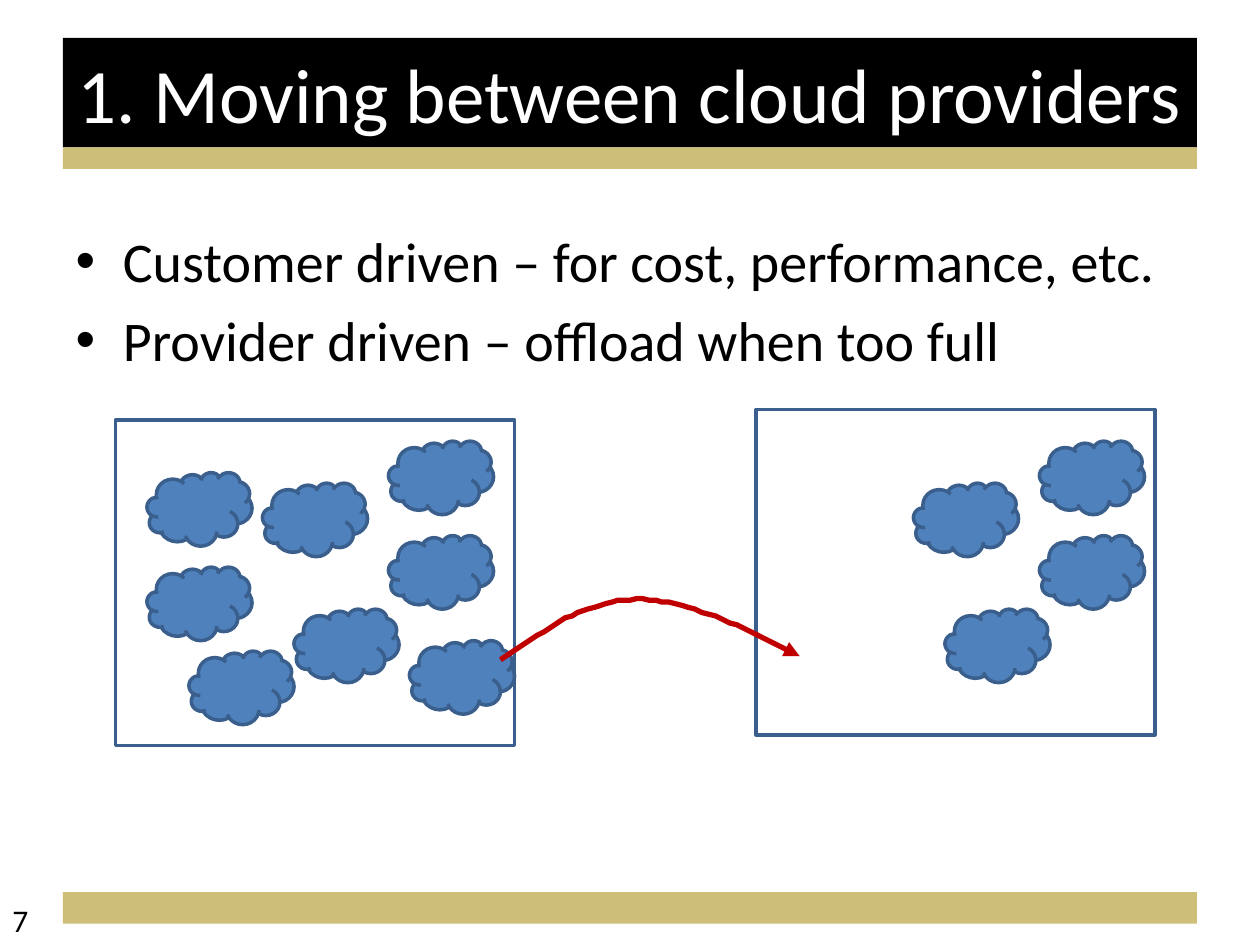
import pptx
import pptx.util
import pptx.dml.color
import pptx.enum.shapes
import pptx.enum.text
import pptx.oxml
import pptx.oxml.ns

Pt = pptx.util.Pt
SHAPES = pptx.enum.shapes.MSO_SHAPE
ANCHORS = pptx.enum.text.MSO_ANCHOR
ALIGN = pptx.enum.text.PP_ALIGN

TITLE = "1. Moving between cloud providers"
POINTS = [
    "Customer driven – for cost, performance, etc.",
    "Provider driven – offload when too full",
]
PAGE_NUMBER = "7"
COLORS = {
    "gold": "CDBF78", "black": "000000", "white": "FFFFFF",
    "cloud": "4F81BD", "outline": "3A5F8C", "arrow": "C00000",
}
BANDS = [(509.76, 18, "gold"), (21.6, 62.64, "black"), (84.24, 12.24, "gold")]
PROVIDERS = [(66, 240), (432, 234)]
PROVIDER_SIZE = (228, 186)
CLOUD_SIZE = (60, 42)
SHARED_CLOUDS = [(150, 276), (168, 348), (222, 252), (222, 306)]
FIRST_ONLY_CLOUDS = [(84, 270), (84, 324), (234, 366), (108, 372)]
SECOND_OFFSET = 372
MOVE_CURVES = [
    [(285.84, 377.28), (310.32, 360), (335.52, 342.72), (363.6, 342.4)],
    [(363.6, 342.4), (392.4, 342), (424.8, 358.56), (456.8, 375.1)],
]
CURVE_STEPS = 24


def rgb(name):
    return pptx.dml.color.RGBColor.from_string(COLORS[name])


def add_block(page, kind, left, top, size, fill, outline=None):
    block = page.shapes.add_shape(kind, Pt(left), Pt(top), Pt(size[0]), Pt(size[1]))
    block.shadow.inherit = False
    block.fill.solid()
    block.fill.fore_color.rgb = rgb(fill)
    if outline:
        block.line.color.rgb = rgb(outline)
        block.line.width = Pt(2)
    else:
        block.line.fill.background()


def write_text(box, lines, size, color, align, anchor):
    frame = box.text_frame
    frame.text = "\n".join(lines)
    frame.word_wrap = True
    frame.auto_size = pptx.enum.text.MSO_AUTO_SIZE.NONE
    frame.vertical_anchor = anchor
    for index, para in enumerate(frame.paragraphs):
        para.alignment = align
        para.space_before = Pt(size * 0.2 if index else 0)
        for span in para.runs:
            span.font.name = "Calibri"
            span.font.size = Pt(size)
            span.font.color.rgb = rgb(color)


def place(box, left, top, width, height):
    box.left, box.top, box.width, box.height = map(Pt, (left, top, width, height))


def curve_point(curve, t):
    weights = ((1 - t) ** 3, 3 * t * (1 - t) ** 2, 3 * t * t * (1 - t), t ** 3)
    return tuple(sum(w * point[axis] for w, point in zip(weights, curve)) for axis in (0, 1))


def add_move_arrow(page):
    points = [curve_point(curve, step / CURVE_STEPS)
              for curve in MOVE_CURVES for step in range(1, CURVE_STEPS + 1)]
    start = MOVE_CURVES[0][0]
    builder = page.shapes.build_freeform(start[0], start[1], scale=float(Pt(1)))
    builder.add_line_segments(points, close=False)
    arrow = builder.convert_to_shape()
    arrow.shadow.inherit = False
    arrow.fill.background()
    arrow.line.color.rgb = rgb("arrow")
    arrow.line.width = Pt(3)
    head = pptx.oxml.parse_xml(
        f'<a:tailEnd {pptx.oxml.ns.nsdecls("a")} type="triangle"/>')
    arrow.line._get_or_add_ln().append(head)


def main():
    deck = pptx.Presentation()
    deck.slide_width, deck.slide_height = Pt(720), Pt(540)
    page = deck.slides.add_slide(deck.slide_layouts[1])
    title, body = page.shapes.title, page.placeholders[1]

    for top, height, color in BANDS:
        add_block(page, SHAPES.RECTANGLE, 36, top, (648, height), color)

    place(body, 36, 126, 648, 356.4)
    write_text(body, POINTS, 32, "black", ALIGN.LEFT, ANCHORS.TOP)
    place(title, 36, 21.6, 648, 62.64)
    write_text(title, [TITLE], 44, "white", ALIGN.CENTER, ANCHORS.MIDDLE)
    for box in (body, title):
        page.shapes._spTree.append(box._element)

    for left, top in PROVIDERS:
        add_block(page, SHAPES.RECTANGLE, left, top, PROVIDER_SIZE, "white", "outline")
    second_clouds = [(left + SECOND_OFFSET, top) for left, top in SHARED_CLOUDS]
    for left, top in SHARED_CLOUDS + FIRST_ONLY_CLOUDS + second_clouds:
        add_block(page, SHAPES.CLOUD, left, top, CLOUD_SIZE, "cloud", "outline")
    add_move_arrow(page)

    number = page.shapes.add_textbox(Pt(0), Pt(511.2), Pt(168), Pt(28.8))
    write_text(number, [PAGE_NUMBER], 18, "black", ALIGN.LEFT, ANCHORS.TOP)
    deck.save("out.pptx")


if __name__ == "__main__":
    main()
